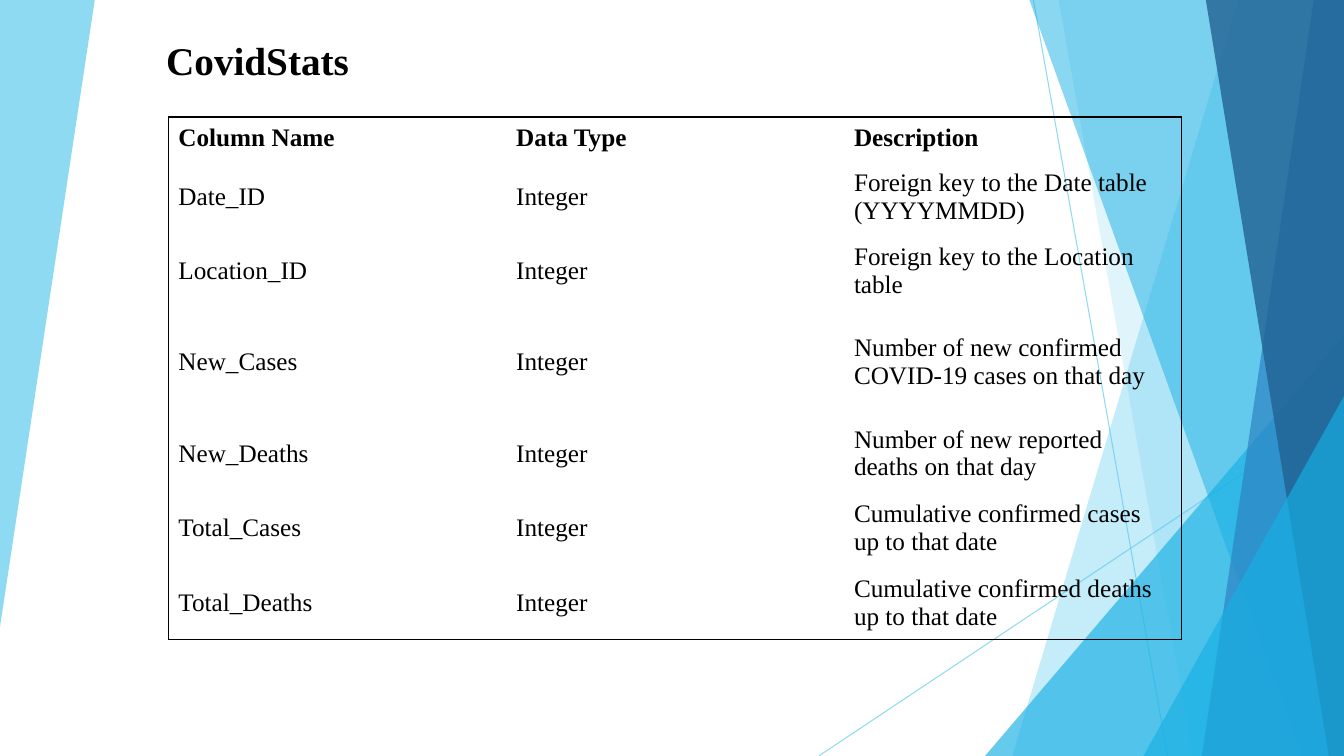
from lxml import etree
from pptx import Presentation
from pptx.dml.color import RGBColor
from pptx.enum.shapes import MSO_CONNECTOR, MSO_SHAPE
from pptx.enum.text import MSO_ANCHOR, MSO_AUTO_SIZE
from pptx.oxml.ns import qn
from pptx.util import Inches, Pt

STRAIGHT = MSO_CONNECTOR.STRAIGHT
TRIANGLE = MSO_SHAPE.ISOSCELES_TRIANGLE
MIDDLE = MSO_ANCHOR.MIDDLE
GROW = MSO_AUTO_SIZE.SHAPE_TO_FIT_TEXT

BLACK = RGBColor(0x00, 0x00, 0x00)
SKY = RGBColor(0x5F, 0xCB, 0xEF)
CYAN = RGBColor(0x17, 0xB0, 0xE4)
BLUE = RGBColor(0x2E, 0x83, 0xC3)
NAVY = RGBColor(0x22, 0x62, 0x92)

WIDTH, HEIGHT = 13.33, 7.5
COLUMN_WIDTH = 3.35
ROW_HEIGHTS = [0.42, 0.74, 0.74, 1.07, 0.74, 0.74, 0.74]
ROWS = [
    ("Column Name", "Data Type", "Description"),
    ("Date_ID", "Integer", "Foreign key to the Date table (YYYYMMDD)"),
    ("Location_ID", "Integer", "Foreign key to the Location table"),
    ("New_Cases", "Integer", "Number of new confirmed COVID-19 cases on that day"),
    ("New_Deaths", "Integer", "Number of new reported deaths on that day"),
    ("Total_Cases", "Integer", "Cumulative confirmed cases up to that date"),
    ("Total_Deaths", "Integer", "Cumulative confirmed deaths up to that date"),
]


class SlideBuilder:
    font_name = "Times New Roman"
    text_color = BLACK

    def __init__(self, slide):
        self.slide = slide
        self.shapes = slide.shapes

    def set_opacity(self, shape, percent):
        for color in shape._element.spPr.iter(qn("a:srgbClr")):
            etree.SubElement(color, qn("a:alpha"), val=str(percent * 1000))

    def paint(self, shape, color, opacity):
        shape.shadow.inherit = False
        shape.fill.solid()
        shape.fill.fore_color.rgb = color
        shape.line.fill.background()
        self.set_opacity(shape, opacity)

    def polygon(self, points, color, opacity):
        corners = [(Inches(x), Inches(y)) for x, y in points]
        builder = self.shapes.build_freeform(*corners[0])
        builder.add_line_segments(corners[1:], close=True)
        self.paint(builder.convert_to_shape(), color, opacity)

    def right_panel(self, top_x, bottom_x, color, opacity):
        points = [(top_x, 0), (WIDTH, 0), (WIDTH, HEIGHT), (bottom_x, HEIGHT)]
        self.polygon(points, color, opacity)

    def corner_triangle(self, left, top, color, opacity):
        shape = self.shapes.add_shape(TRIANGLE, Inches(left), Inches(top),
                                      Inches(WIDTH - left), Inches(HEIGHT - top))
        shape.adjustments[0] = 1
        self.paint(shape, color, opacity)

    def line(self, start, end, color, opacity):
        connector = self.shapes.add_connector(
            STRAIGHT, *(Inches(value) for value in start + end))
        connector.line.color.rgb = color
        connector.line.width = Pt(0.75)
        self.set_opacity(connector, opacity)
        etree.SubElement(connector._element.spPr, qn("a:effectLst"))

    def add_text(self, text_frame, text, size, bold):
        run = text_frame.paragraphs[0].add_run()
        run.text = text
        run.font.color.rgb = self.text_color
        style = {"name": self.font_name, "size": Pt(size), "bold": bold}
        for name, value in style.items():
            setattr(run.font, name, value)

    def title(self, text, left, top, width, height):
        box = self.shapes.add_textbox(Inches(left), Inches(top),
                                      Inches(width), Inches(height))
        box.text_frame.word_wrap = True
        box.text_frame.auto_size = GROW
        self.add_text(box.text_frame, text, 28, True)

    def set_borders(self, cell, visible_sides):
        properties = cell._tc.get_or_add_tcPr()
        for index, (side, visible) in enumerate(visible_sides.items()):
            border = etree.Element(qn("a:ln" + side), w=str(Pt(1)))
            if visible:
                fill = etree.SubElement(border, qn("a:solidFill"))
                etree.SubElement(fill, qn("a:srgbClr"), val=str(BLACK))
            else:
                etree.SubElement(border, qn("a:noFill"))
            properties.insert(index, border)

    def table(self, rows, left, top, column_width, row_heights):
        row_count, column_count = len(rows), len(rows[0])
        frame = self.shapes.add_table(
            row_count, column_count, Inches(left), Inches(top),
            Inches(column_width * column_count), Inches(sum(row_heights)))
        table = frame.table
        table.first_row = table.horz_banding = False
        for column in table.columns:
            column.width = Inches(column_width)
        for row, height in zip(table.rows, row_heights):
            row.height = Inches(height)
        for row_index, texts in enumerate(rows):
            for column_index, text in enumerate(texts):
                cell = table.cell(row_index, column_index)
                cell.vertical_anchor = MIDDLE
                cell.fill.background()
                self.add_text(cell.text_frame, text, 18, row_index == 0)
                # Only the outer frame of the table is drawn
                self.set_borders(cell, {
                    "L": column_index == 0,
                    "R": column_index == column_count - 1,
                    "T": row_index == 0,
                    "B": row_index == row_count - 1,
                })


def main():
    presentation = Presentation()
    presentation.slide_width = Inches(WIDTH)
    presentation.slide_height = Inches(HEIGHT)
    slide = presentation.slides.add_slide(presentation.slide_layouts[6])
    builder = SlideBuilder(slide)

    # Left wedge and thin lines
    builder.polygon([(0, 0), (0.94, 0), (0, 6.22)], SKY, 70)
    builder.line((10.25, 0), (11.58, HEIGHT), SKY, 70)
    builder.line((WIDTH, 4.03), (8.12, HEIGHT), SKY, 70)

    # Overlapping facets on the right
    builder.right_panel(12.28, 10.04, SKY, 36)
    builder.right_panel(10.5, 11.83, SKY, 20)
    builder.corner_triangle(9.77, 3.33, CYAN, 66)
    builder.right_panel(10.21, 12.91, CYAN, 50)
    builder.right_panel(13.03, 11.92, BLUE, 70)
    builder.right_panel(11.96, 13.18, NAVY, 80)
    builder.corner_triangle(11.34, 3.93, CYAN, 66)

    # Table description
    builder.table(ROWS, 1.67, 1.16, COLUMN_WIDTH, ROW_HEIGHTS)
    builder.title("CovidStats", 1.55, 0.31, 3.67, 0.57)

    presentation.save("out.pptx")


if __name__ == "__main__":
    main()
